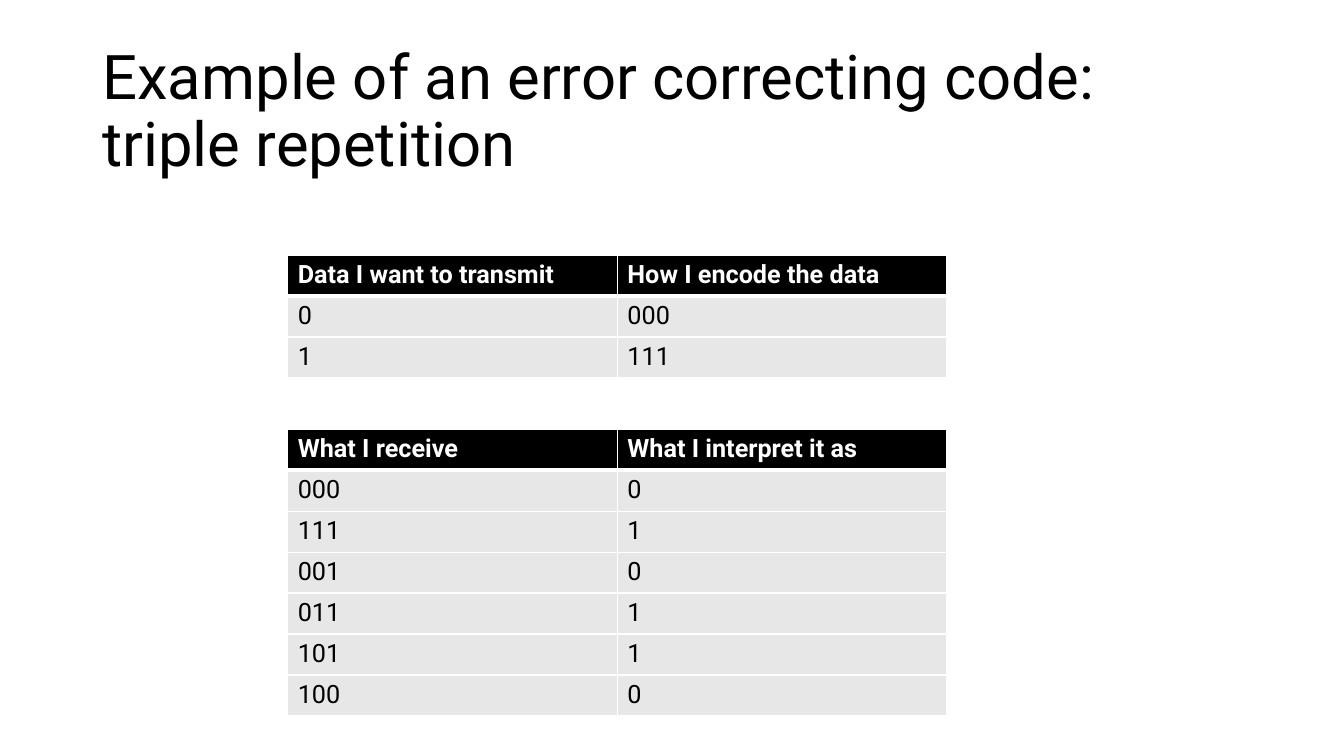
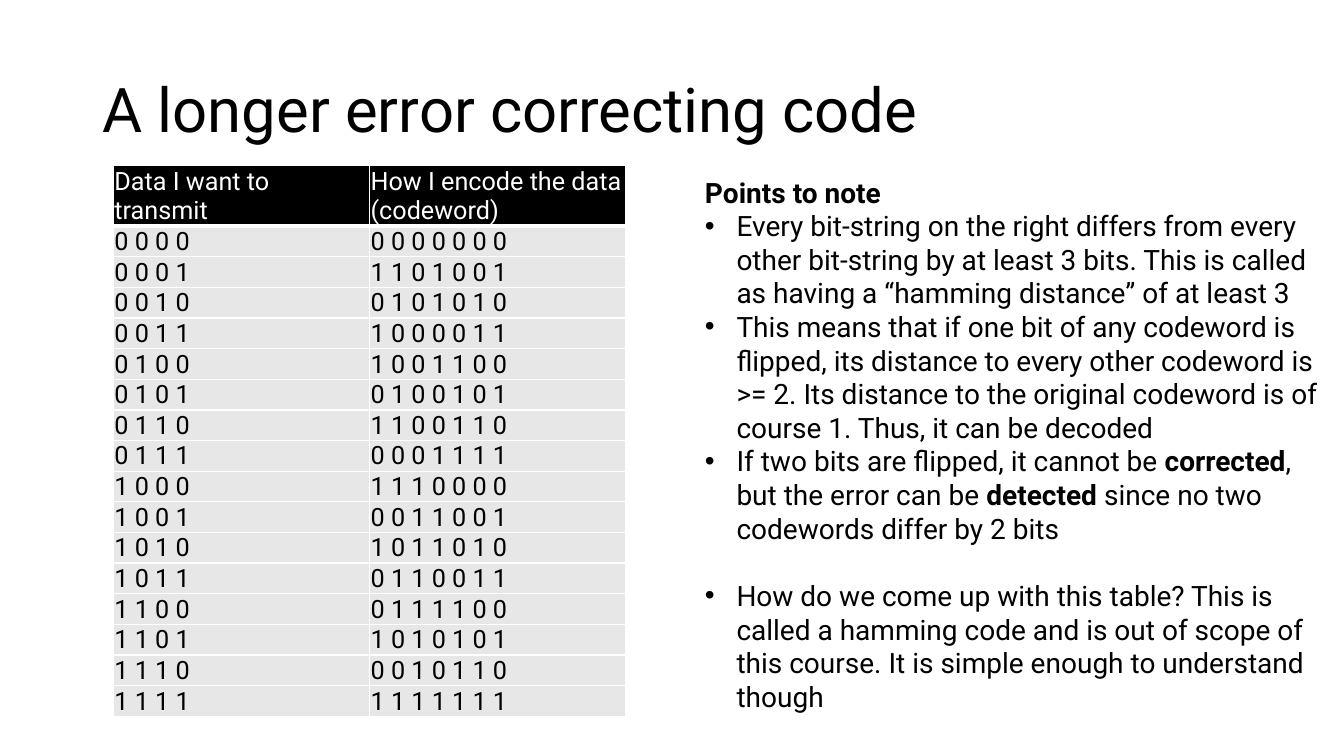
import itertools

import pptx
import pptx.dml.color
import pptx.enum.text
import pptx.oxml
import pptx.oxml.ns
import pptx.util

PX = 9525
FONT = "Roboto"
COLORS = {"text": "000000", "paper": "FFFFFF", "header": "000000", "row": "E7E7E7"}
ANCHOR = pptx.enum.text.MSO_ANCHOR
AUTO_SIZE = pptx.enum.text.MSO_AUTO_SIZE

ENCODING = [
    ("Data I want to transmit", "How I encode the data"),
    ("0", "000"),
    ("1", "111"),
]
DECODING = [
    ("What I receive", "What I interpret it as"),
    ("000", "0"),
    ("111", "1"),
    ("001", "0"),
    ("011", "1"),
    ("101", "1"),
    ("100", "0"),
]
POINTS = [
    ["Every bit-string on the right differs from every other bit-string by at least 3 bits. "
     "This is called as having a “hamming distance” of at least 3"],
    ["This means that if one bit of any codeword is flipped, its distance to every other "
     "codeword is >= 2. Its distance to the original codeword is of course 1. "
     "Thus, it can be decoded"],
    ["If two bits are flipped, it cannot be ", "corrected", ", but the error can be ",
     "detected", " since no two codewords differ by 2 bits"],
    ["How do we come up with this table? This is called a hamming code and is out of scope "
     "of this course. It is simple enough to understand though"],
]


def px(n):
    return pptx.util.Emu(n * PX)


def rgb(name):
    return pptx.dml.color.RGBColor.from_string(COLORS[name])


def set_font(font, size, color="text", bold=False):
    font.name = FONT
    font.size = pptx.util.Pt(size)
    font.bold = bold
    font.color.rgb = rgb(color)


def add_titled_slide(prs, title):
    slide = prs.slides.add_slide(prs.slide_layouts[5])
    sp = slide.shapes.title
    sp.left, sp.top, sp.width, sp.height = map(px, (88, 38, 1104, 139))
    tf = sp.text_frame
    tf.text = title
    tf.auto_size = AUTO_SIZE.NONE
    tf.vertical_anchor = ANCHOR.MIDDLE
    p = tf.paragraphs[0]
    p.alignment = pptx.enum.text.PP_ALIGN.LEFT
    p.line_spacing = 0.9
    set_font(p.font, 44)
    return slide


def set_borders(cell, top, bottom):
    tc_pr = cell._tc.get_or_add_tcPr()
    for side, points in (("L", 1), ("R", 1), ("T", top), ("B", bottom)):
        tc_pr.append(pptx.oxml.parse_xml(
            f'<a:ln{side} {pptx.oxml.ns.nsdecls("a")} w="{pptx.util.Pt(points)}">'
            f'<a:solidFill><a:srgbClr val="{COLORS["paper"]}"/></a:solidFill></a:ln{side}>'))


def set_tight(cell, anchor):
    cell.margin_left = cell.margin_right = cell.margin_top = px(1)
    cell.margin_bottom = 0
    cell.vertical_anchor = anchor


def add_code_table(slide, left, top, col_width, row_height, rows,
                   header_height=None, bold_header=True, tight=False):
    header_height = header_height or row_height
    height = header_height + row_height * (len(rows) - 1)
    table = slide.shapes.add_table(
        len(rows), 2, px(left), px(top), px(2 * col_width), px(height)).table
    table.horz_banding = False
    for col in table.columns:
        col.width = px(col_width)
    for i, texts in enumerate(rows):
        is_header = i == 0
        table.rows[i].height = px(header_height if is_header else row_height)
        for j, text in enumerate(texts):
            cell = table.cell(i, j)
            cell.text = text
            set_font(cell.text_frame.paragraphs[0].font, 18,
                     "paper" if is_header else "text", is_header and bold_header)
            set_borders(cell, 3 if i == 1 else 1, 3 if is_header else 1)
            cell.fill.solid()
            cell.fill.fore_color.rgb = rgb("header" if is_header else "row")
            if tight:
                set_tight(cell, (ANCHOR.MIDDLE, ANCHOR.BOTTOM)[j])


def add_bullet(p, indent):
    p_pr = p._p.get_or_add_pPr()
    p_pr.set("marL", str(px(indent)))
    p_pr.set("indent", str(px(-indent)))
    ns = pptx.oxml.ns.nsdecls("a")
    p_pr.insert_element_before(
        pptx.oxml.parse_xml(f'<a:buFont {ns} typeface="Arial"/>'), "a:defRPr")
    p_pr.insert_element_before(
        pptx.oxml.parse_xml(f'<a:buChar {ns} char="•"/>'), "a:defRPr")


def add_notes_box(slide, heading, points):
    tf = slide.shapes.add_textbox(px(662), px(162), px(605), px(527)).text_frame
    tf.word_wrap = True
    tf.auto_size = AUTO_SIZE.SHAPE_TO_FIT_TEXT
    p = tf.paragraphs[0]
    p.text = heading
    set_font(p.font, 20, bold=True)
    for parts in points:
        p = tf.add_paragraph()
        set_font(p.font, 20)
        add_bullet(p, 30)
        for k, part in enumerate(parts):
            r = p.add_run()
            r.text = part
            if k % 2:
                r.font.bold = True
    p.space_before = pptx.util.Pt(24)


def hamming_rows():
    rows = [("Data I want to transmit", "How I encode the data (codeword)")]
    for a, b, c, d in itertools.product((0, 1), repeat=4):
        codeword = (a ^ b ^ d, a ^ c ^ d, a, b ^ c ^ d, b, c, d)
        rows.append(tuple(" ".join(map(str, bits)) for bits in ((a, b, c, d), codeword)))
    return rows


def main():
    prs = pptx.Presentation()
    prs.slide_width, prs.slide_height = px(1280), px(720)

    slide = add_titled_slide(prs, "Example of an error correcting code: triple repetition")
    add_code_table(slide, 274, 243, 314, 39, ENCODING)
    add_code_table(slide, 274, 409, 314, 39, DECODING)

    slide = add_titled_slide(prs, "A longer error correcting code")
    add_code_table(slide, 108, 158, 244, 29, hamming_rows(),
                   header_height=57, bold_header=False, tight=True)
    add_notes_box(slide, "Points to note", POINTS)

    prs.save("out.pptx")


if __name__ == "__main__":
    main()
